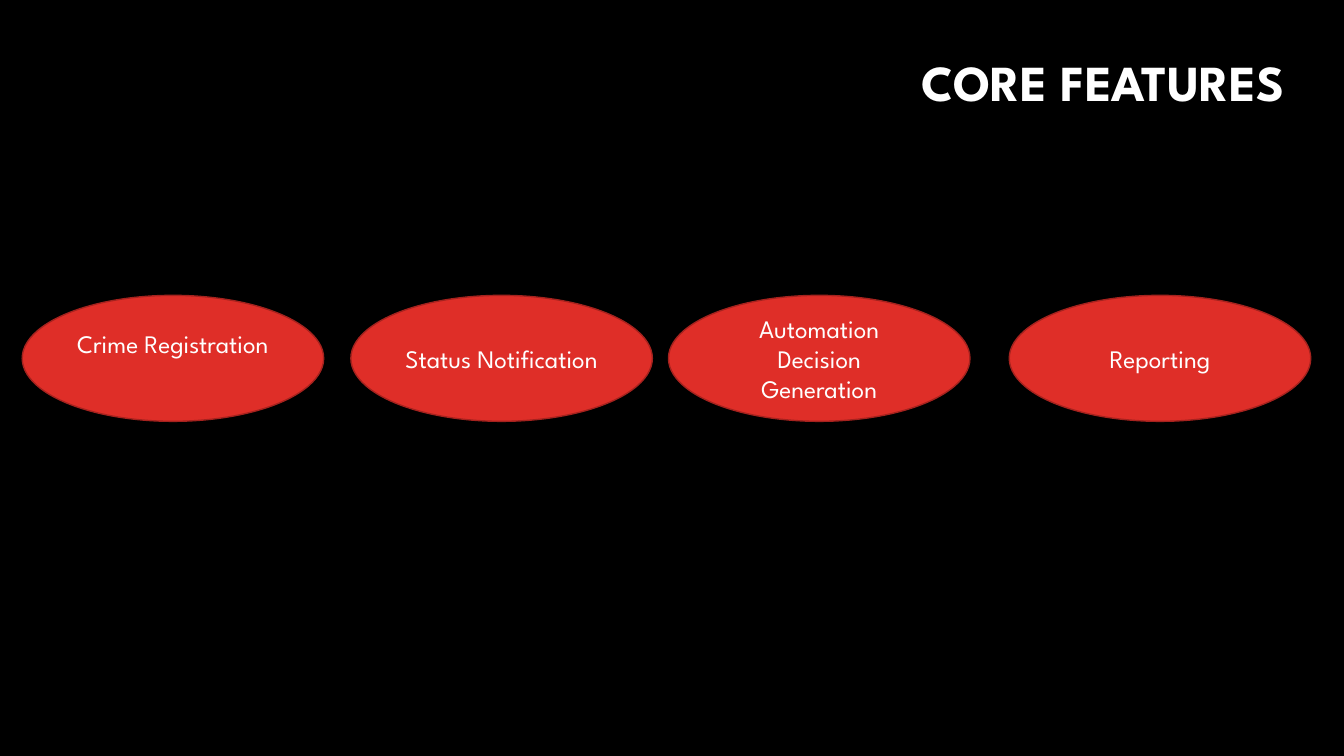
from dataclasses import dataclass

from pptx import Presentation
from pptx.dml.color import RGBColor
from pptx.enum.shapes import MSO_SHAPE
from pptx.enum.text import MSO_ANCHOR, PP_ALIGN
from pptx.util import Inches, Pt

OVAL = MSO_SHAPE.OVAL
MIDDLE = MSO_ANCHOR.MIDDLE
CENTER, RIGHT = PP_ALIGN.CENTER, PP_ALIGN.RIGHT

BLACK = RGBColor(0x00, 0x00, 0x00)
WHITE = RGBColor(0xFF, 0xFF, 0xFF)
RED = RGBColor(0xDF, 0x2E, 0x28)
DARK_RED = RGBColor(0xA5, 0x22, 0x1E)
FONT = "League Spartan"
TITLE_ONLY = 5

# Shared geometry of the row of features, in inches
ROW_TOP, OVAL_WIDTH, OVAL_HEIGHT = 2.93, 2.99, 1.25


@dataclass(frozen=True)
class Feature:
    label: str
    left: float
    bottom_inset: float = 0.05


FEATURES = (
    Feature("Crime Registration", 0.22, bottom_inset=0.35),
    Feature("Status Notification", 3.48),
    Feature("Automation Decision Generation", 6.63),
    Feature("Reporting", 10.01),
)


def write(frame, text: str, *, size: float, align=CENTER, bold: bool = False,
          line_spacing: float = 1.0) -> None:
    frame.word_wrap = True
    frame.vertical_anchor = MIDDLE
    paragraph = frame.paragraphs[0]
    paragraph.alignment = align
    paragraph.line_spacing = line_spacing
    run = paragraph.add_run()
    run.text = text
    run.font.name = FONT
    run.font.size = Pt(size)
    run.font.bold = bold
    run.font.color.rgb = WHITE


def draw_feature(slide, feature: Feature) -> None:
    oval = slide.shapes.add_shape(OVAL, Inches(feature.left), Inches(ROW_TOP),
                                  Inches(OVAL_WIDTH), Inches(OVAL_HEIGHT))
    oval.shadow.inherit = False
    oval.fill.solid()
    oval.fill.fore_color.rgb = RED
    oval.line.color.rgb = DARK_RED
    oval.line.width = Pt(1)
    oval.text_frame.margin_bottom = Inches(feature.bottom_inset)
    write(oval.text_frame, feature.label, size=18)


def main() -> None:
    presentation = Presentation()
    presentation.slide_width = Inches(13.33)
    presentation.slide_height = Inches(7.5)
    slide = presentation.slides.add_slide(presentation.slide_layouts[TITLE_ONLY])
    slide.background.fill.solid()
    slide.background.fill.fore_color.rgb = BLACK

    # Title
    title = slide.shapes.title
    title.left, title.top = Inches(4.16), Inches(0.27)
    title.width, title.height = Inches(8.68), Inches(1.15)
    write(title.text_frame, "CORE FEATURES", size=36, align=RIGHT, bold=True,
          line_spacing=0.9)

    # Row of features
    for feature in FEATURES:
        draw_feature(slide, feature)

    presentation.save("out.pptx")


if __name__ == "__main__":
    main()
